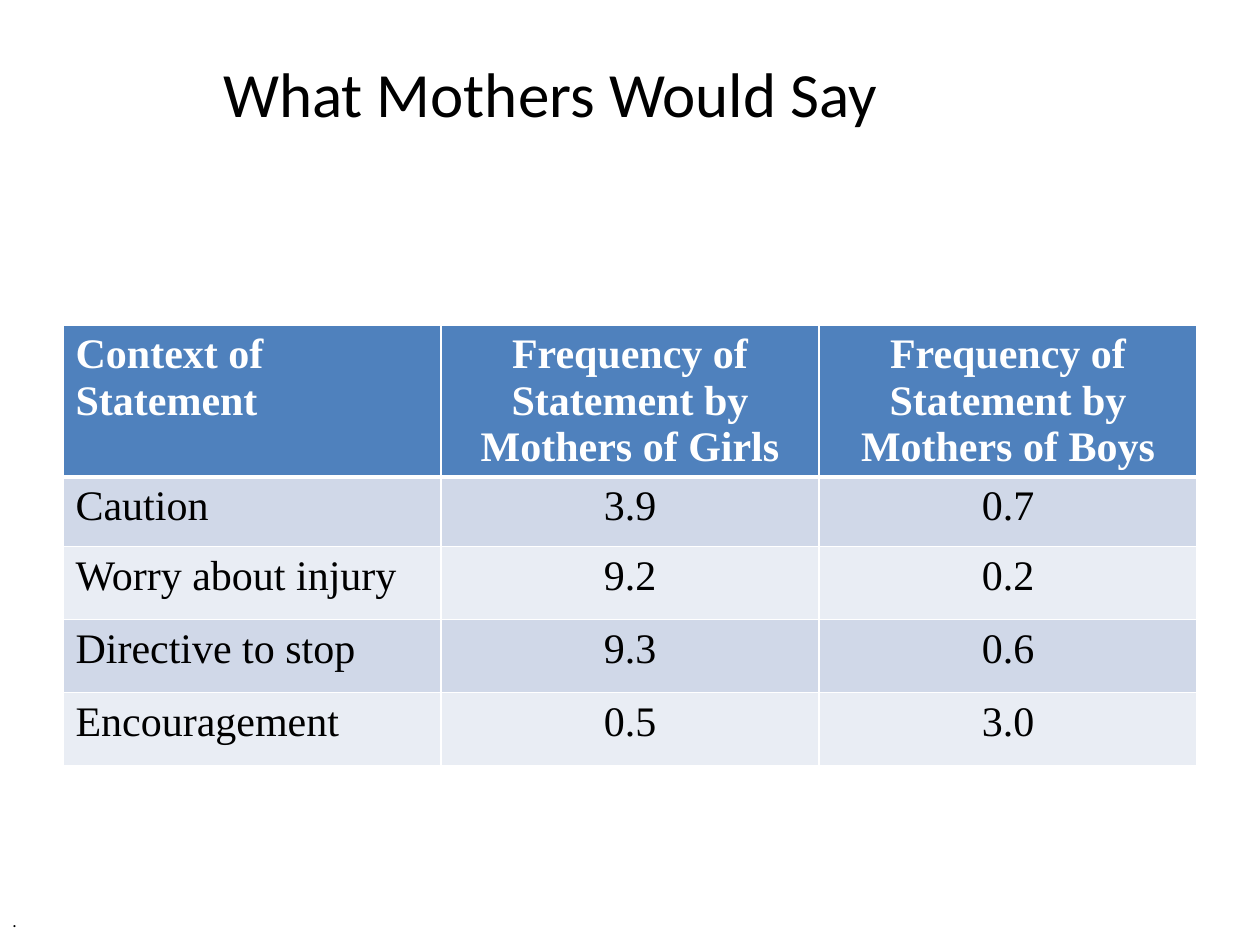
from lxml import etree
from pptx import Presentation
from pptx.dml.color import RGBColor
from pptx.enum.text import MSO_ANCHOR, PP_ALIGN
from pptx.oxml.ns import qn
from pptx.util import Inches, Pt

LEFT, CENTER = PP_ALIGN.LEFT, PP_ALIGN.CENTER
BOTTOM = MSO_ANCHOR.BOTTOM

TITLE = "What Mothers Would Say"
FOOTNOTE = "."
ROWS = [
    ("Context of Statement",
     "Frequency of Statement by Mothers of Girls",
     "Frequency of Statement by Mothers of Boys"),
    ("Caution", "3.9", "0.7"),
    ("Worry about injury", "9.2", "0.2"),
    ("Directive to stop", "9.3", "0.6"),
    ("Encouragement", "0.5", "3.0"),
]
ROW_HEIGHTS = [1.2, 0.55, 0.58, 0.58, 0.58]
COLUMN_WIDTH = 3
COLORS = {
    "text": "000000",
    "header_text": "FFFFFF",
    "border": "FFFFFF",
    "header": "4F81BD",
    "odd_row": "D0D8E8",
    "even_row": "E9EDF4",
}


def write(frame, text, size, font="Calibri", color="text", bold=False,
          align=LEFT, line_spacing=None):
    para = frame.paragraphs[0]
    para.alignment = align
    if line_spacing:
        para.line_spacing = Pt(line_spacing)
    span = para.add_run()
    span.text = text
    span.font.name = font
    span.font.size = Pt(size)
    span.font.bold = bold
    span.font.color.rgb = RGBColor.from_string(COLORS[color])


def add_borders(cell, **widths):
    """Draw the cell's sides, given in points as L, R, T and B in that order."""
    properties = cell._tc.get_or_add_tcPr()
    for side, width in widths.items():
        line = etree.SubElement(properties, qn(f"a:ln{side}"), w=str(Pt(width)))
        fill = etree.SubElement(line, qn("a:solidFill"))
        etree.SubElement(fill, qn("a:srgbClr"), val=COLORS["border"])


def add_frequency_table(page):
    columns = len(ROWS[0])
    table = page.shapes.add_table(
        len(ROWS), columns, Inches(0.5), Inches(2.58),
        Inches(COLUMN_WIDTH * columns), Inches(sum(ROW_HEIGHTS))).table
    for column in table.columns:
        column.width = Inches(COLUMN_WIDTH)
    for r, (texts, height) in enumerate(zip(ROWS, ROW_HEIGHTS)):
        table.rows[r].height = Inches(height)
        is_header = r == 0
        band = "header" if is_header else "odd_row" if r % 2 else "even_row"
        for c, text in enumerate(texts):
            cell = table.cell(r, c)
            add_borders(cell, L=1, R=1, T=3 if r == 1 else 1,
                        B=3 if is_header else 1)
            cell.fill.solid()
            cell.fill.fore_color.rgb = RGBColor.from_string(COLORS[band])
            write(cell.text_frame, text, 24, font="Times New Roman",
                  color="header_text" if is_header else "text",
                  bold=is_header, align=CENTER if c else LEFT)


def main():
    deck = Presentation()
    deck.slide_width, deck.slide_height = Inches(10), Inches(7.5)
    page = deck.slides.add_slide(deck.slide_layouts[5])

    title = page.shapes.title
    title.left, title.top = Inches(1.67), Inches(0)
    title.width, title.height = Inches(7.83), Inches(1.08)
    title.text_frame.vertical_anchor = BOTTOM
    write(title.text_frame, TITLE, 36, line_spacing=34)

    add_frequency_table(page)

    box = page.shapes.add_textbox(
        Inches(0), Inches(7.17), Inches(4.83), Inches(0.23))
    box.text_frame.word_wrap = True
    write(box.text_frame, FOOTNOTE, 10)

    deck.save("out.pptx")


if __name__ == "__main__":
    main()
